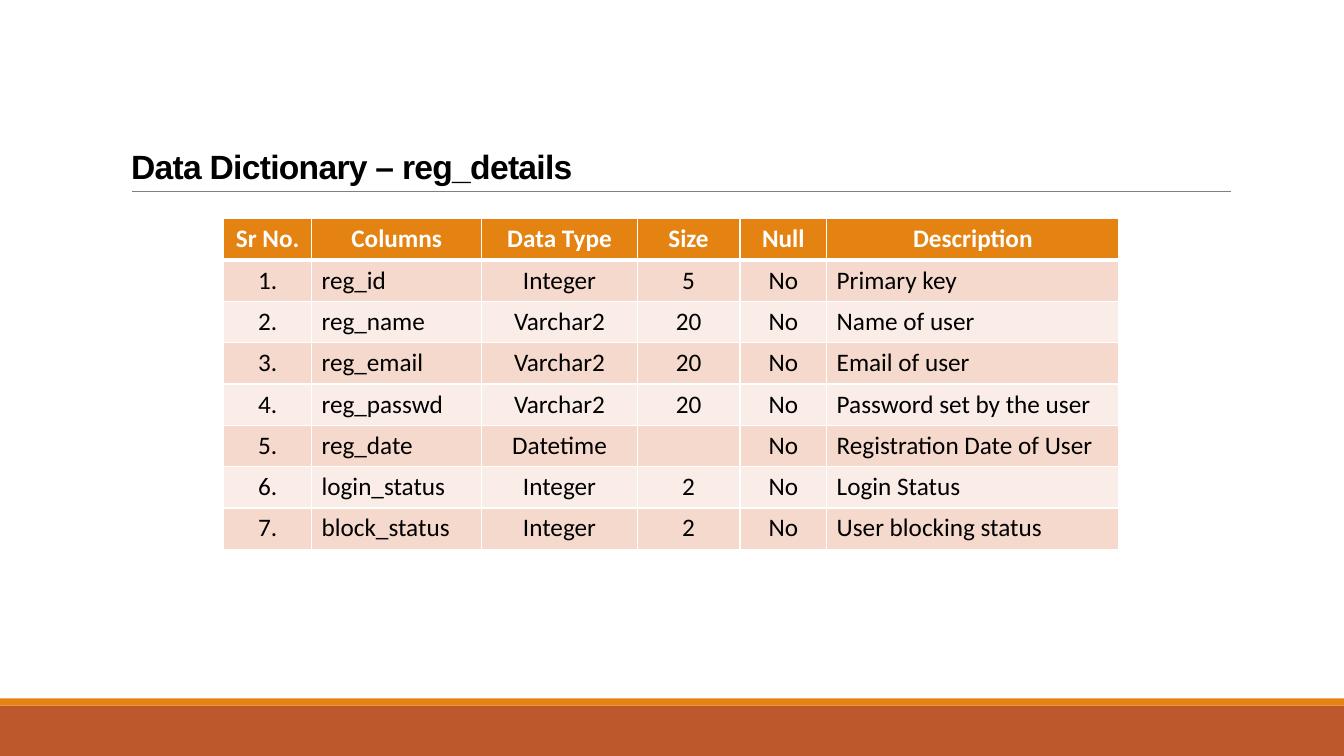
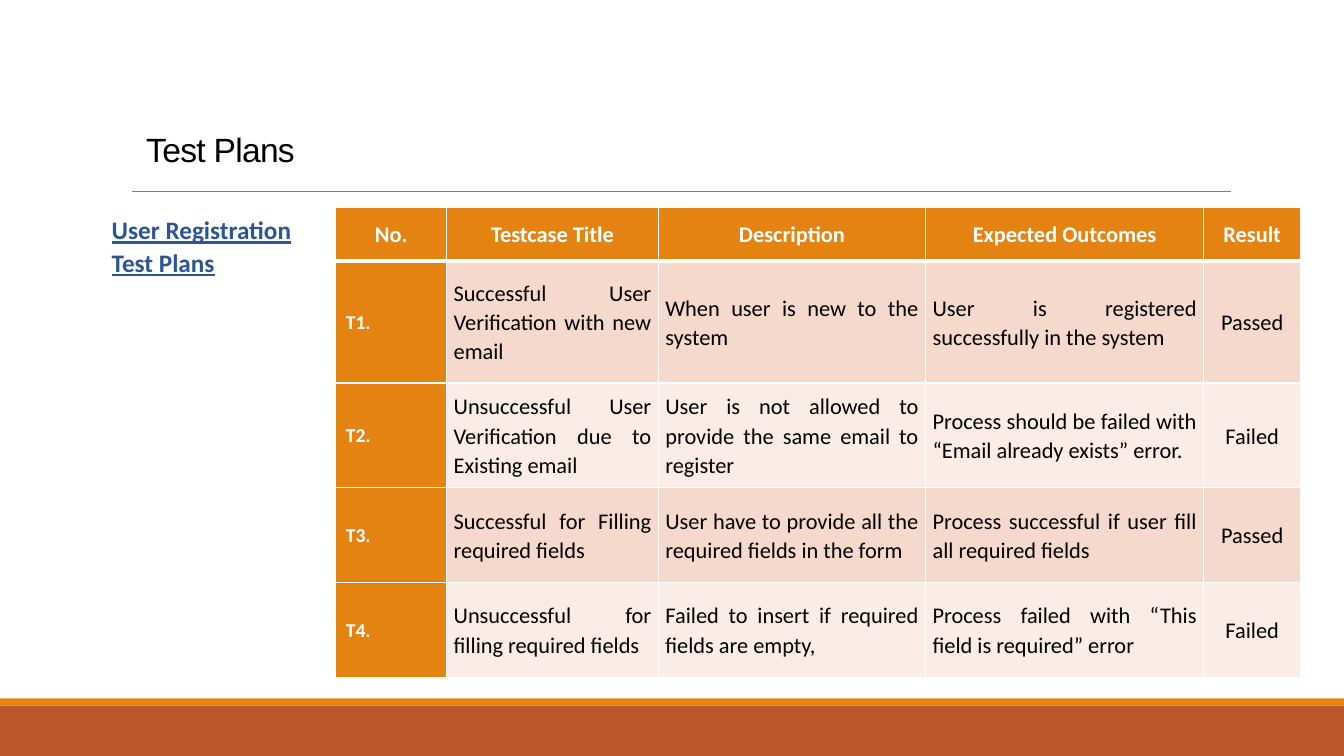
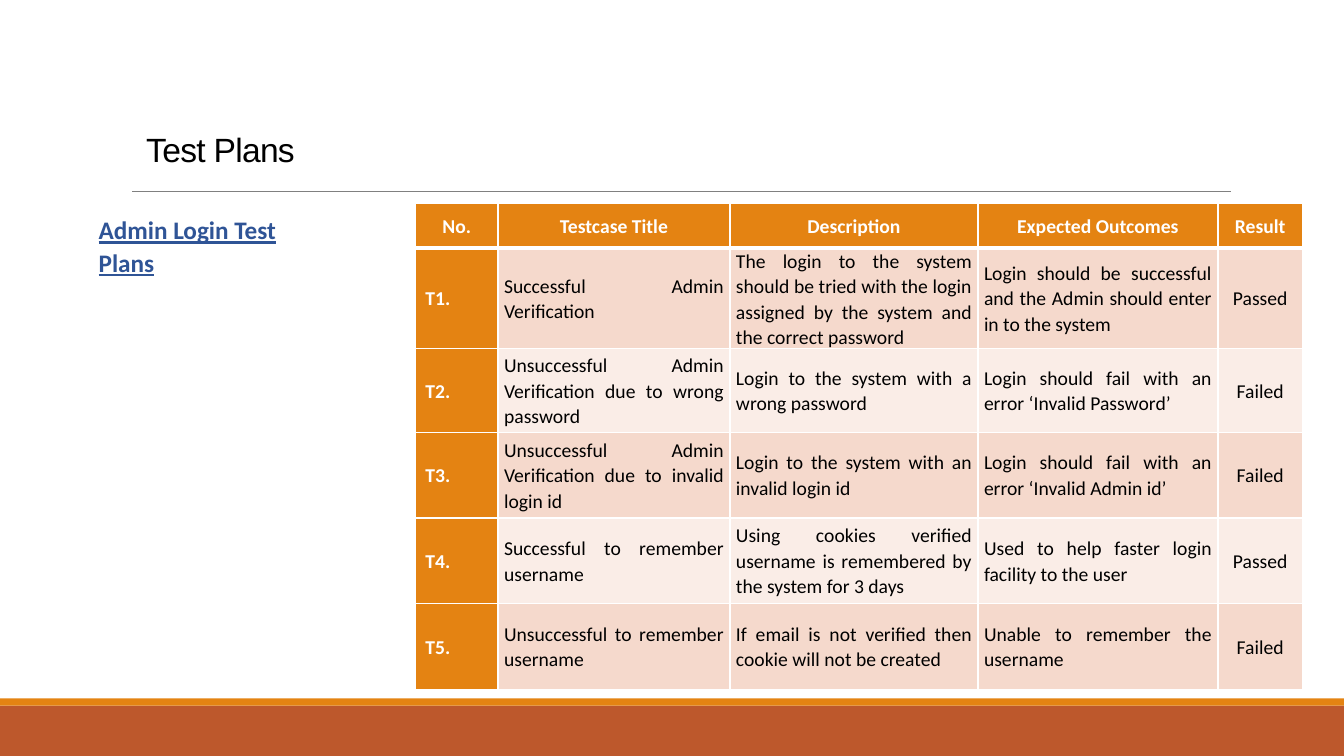
"""Build three slides: a data dictionary table and two test plan tables."""
from lxml import etree
from pptx import Presentation
from pptx.dml.color import RGBColor
from pptx.enum.shapes import MSO_CONNECTOR, MSO_SHAPE
from pptx.enum.text import MSO_ANCHOR, MSO_AUTO_SIZE, PP_ALIGN
from pptx.oxml.ns import qn
from pptx.util import Emu, Pt

PX = 9144
WIDTH, HEIGHT = 1333, 750
TITLE_FONT, BODY_FONT = "Arial", "Calibri"

WHITE = RGBColor(0xFF, 0xFF, 0xFF)
BLACK = RGBColor(0x00, 0x00, 0x00)
GREY = RGBColor(0x80, 0x80, 0x80)
ORANGE = RGBColor(0xE4, 0x83, 0x12)
RUST = RGBColor(0xBD, 0x58, 0x2C)
BLUE = RGBColor(0x2F, 0x54, 0x96)
STRIPES = (RGBColor(0xF5, 0xD9, 0xCC), RGBColor(0xFA, 0xED, 0xE7))

LEFT, CENTER, JUSTIFY = PP_ALIGN.LEFT, PP_ALIGN.CENTER, PP_ALIGN.JUSTIFY
TOP, MIDDLE, BOTTOM = MSO_ANCHOR.TOP, MSO_ANCHOR.MIDDLE, MSO_ANCHOR.BOTTOM
NO_FIT, GROW = MSO_AUTO_SIZE.NONE, MSO_AUTO_SIZE.SHAPE_TO_FIT_TEXT
RECTANGLE, STRAIGHT = MSO_SHAPE.RECTANGLE, MSO_CONNECTOR.STRAIGHT

REG_HEADS = ("Sr No.", "Columns", "Data Type", "Size", "Null", "Description")
REG_ALIGNS = (CENTER, LEFT, CENTER, CENTER, CENTER, LEFT)
REG_ROWS = (
    ("reg_id", "Integer", "5", "No", "Primary key"),
    ("reg_name", "Varchar2", "20", "No", "Name of user"),
    ("reg_email", "Varchar2", "20", "No", "Email of user"),
    ("reg_passwd", "Varchar2", "20", "No", "Password set by the user"),
    ("reg_date", "Datetime", "", "No", "Registration Date of User"),
    ("login_status", "Integer", "2", "No", "Login Status"),
    ("block_status", "Integer", "2", "No", "User blocking status"),
)
TEST_HEADS = ("No.", "Testcase Title", "Description", "Expected Outcomes", "Result")
TEST_ALIGNS = (LEFT, JUSTIFY, JUSTIFY, JUSTIFY, CENTER)
USER_TESTS = (
    ("Successful User Verification with new email",
     "When user is new to the system",
     "User is registered successfully in the system", "Passed"),
    ("Unsuccessful User Verification due to Existing email",
     "User is not allowed to provide the same email to register",
     "Process should be failed with “Email already exists” error.", "Failed"),
    ("Successful for Filling required fields",
     "User have to provide all the required fields in the form",
     "Process successful if user fill all required fields", "Passed"),
    ("Unsuccessful for filling required fields",
     "Failed to insert if required fields are empty,",
     "Process failed with “This field is required” error", "Failed"),
)
ADMIN_TESTS = (
    ("Successful Admin Verification",
     "The login to the system should be tried with the login assigned "
     "by the system and the correct password",
     "Login should be successful and the Admin should enter in to the system",
     "Passed"),
    ("Unsuccessful Admin Verification due to wrong password",
     "Login to the system with a wrong password",
     "Login should fail with an error ‘Invalid Password’", "Failed"),
    ("Unsuccessful Admin Verification due to invalid login id",
     "Login to the system with an invalid login id",
     "Login should fail with an error ‘Invalid Admin id’", "Failed"),
    ("Successful to remember username",
     "Using cookies verified username is remembered by the system for 3 days",
     "Used to help faster login facility to the user", "Passed"),
    ("Unsuccessful to remember username",
     "If email is not verified then cookie will not be created",
     "Unable to remember the username", "Failed"),
)


def px(*lengths):
    return [Emu(n * PX) for n in lengths]


class Deck:
    def __init__(self):
        self.prs = Presentation()
        self.prs.slide_width, self.prs.slide_height = px(WIDTH, HEIGHT)
        self.s = None

    def slide(self, title, box, bold=False):
        self.s = self.prs.slides.add_slide(self.prs.slide_layouts[5])
        self.band(700, 50, RUST)
        self.band(693, 7, ORANGE)
        self.rule(131, 190, 1221)
        self.title(title, box, bold)

    def band(self, y, h, color):
        sp = self.s.shapes.add_shape(RECTANGLE, *px(0, y, WIDTH, h))
        sp.shadow.inherit = False
        sp.fill.solid()
        sp.fill.fore_color.rgb = color
        sp.line.fill.background()

    def rule(self, x, y, x2):
        line = self.s.shapes.add_connector(STRAIGHT, *px(x, y, x2, y))
        line.line.color.rgb = GREY
        line.line.width = Pt(0.5)
        etree.SubElement(line._element.spPr, qn("a:effectLst"))

    def run(self, p, text, size, color, bold=False, font=BODY_FONT):
        r = p.add_run()
        r.text = text
        r.font.name, r.font.size, r.font.bold = font, Pt(size), bold
        r.font.color.rgb = color
        return r

    def title(self, text, box, bold):
        sp = self.s.shapes.title
        sp.left, sp.top, sp.width, sp.height = px(*box)
        tf = sp.text_frame
        tf.auto_size, tf.vertical_anchor = NO_FIT, BOTTOM
        p = tf.paragraphs[0]
        p.alignment, p.line_spacing = LEFT, 0.85
        r = self.run(p, text, 24, BLACK, bold, TITLE_FONT)
        r._r.get_or_add_rPr().set("spc", "-50")

    def heading(self, text, x):
        sp = self.s.shapes.add_textbox(*px(x, 206, 232, 73))
        tf = sp.text_frame
        tf.word_wrap, tf.auto_size = True, GROW
        p = tf.paragraphs[0]
        p.line_spacing, p.space_before = 1.07, Pt(12)
        self.run(p, text, 18, BLUE, True).font.underline = True

    def borders(self, cell, top, bottom):
        tcPr = cell._tc.get_or_add_tcPr()
        widths = (("L", 1), ("R", 1), ("T", top), ("B", bottom))
        for i, (side, width) in enumerate(widths):
            ln = etree.Element(qn("a:ln" + side), w=str(Pt(width)))
            fill = etree.SubElement(ln, qn("a:solidFill"))
            etree.SubElement(fill, qn("a:srgbClr"), val=str(WHITE))
            tcPr.insert(i, ln)

    def cell(self, cell, text, fill, align, size, color, bold, anchor, spacing, margins):
        cell.fill.solid()
        cell.fill.fore_color.rgb = fill
        cell.vertical_anchor = anchor
        (cell.margin_left, cell.margin_top,
         cell.margin_right, cell.margin_bottom) = px(*margins)
        p = cell.text_frame.paragraphs[0]
        p.alignment, p.line_spacing = align, spacing
        if text:
            self.run(p, text, size, color, bold)

    def table(self, x, y, cols, heights, heads, aligns, rows, size, prefix="",
              key_size=None, anchor=TOP, spacing=1, margins=(10, 5, 10, 5)):
        frame = self.s.shapes.add_table(
            len(heights), len(cols), *px(x, y, sum(cols), sum(heights)))
        table = frame.table
        for col, width in zip(table.columns, px(*cols)):
            col.width = width
        for row, height in zip(table.rows, px(*heights)):
            row.height = height
        body = [(f"{prefix}{i}.", *row) for i, row in enumerate(rows, 1)]
        for i, row in enumerate([heads, *body]):
            for j, text in enumerate(row):
                key = i > 0 and j == 0 and key_size is not None
                strong = i == 0 or key
                cell = table.cell(i, j)
                self.cell(cell, text,
                          ORANGE if strong else STRIPES[(i - 1) % 2],
                          aligns[j] if i else CENTER,
                          key_size if key else size,
                          WHITE if strong else BLACK, strong, anchor, spacing,
                          (10, 0, 6, 0) if key else margins)
                self.borders(cell, 3 if i == 1 else 1, 3 if i == 0 else 1)

    def test_plan(self, heading, heading_x, x, y, cols, heights, tests, size, inset):
        self.slide("Test Plans", (135, 112, 1100, 61))
        self.heading(heading, heading_x)
        self.table(x, y, cols, heights, TEST_HEADS, TEST_ALIGNS, tests, size, "T",
                   14, MIDDLE, 1.07, (inset, 0, inset, 0))


def main():
    deck = Deck()
    deck.slide("Data Dictionary – reg_details", (120, 31, 1100, 159), True)
    deck.table(222, 217, (87, 169, 154, 102, 86, 290), [41] * 8,
               REG_HEADS, REG_ALIGNS, REG_ROWS, 18)
    deck.test_plan("User Registration Test Plans", 101, 333, 206,
                   (110, 210, 265, 276, 96), (53, 121, 104, 94, 94),
                   USER_TESTS, 16, 7)
    deck.test_plan("Admin Login Test Plans", 88, 412, 202,
                   (82, 230, 246, 238, 84), (44, 98, 83, 85, 85, 85),
                   ADMIN_TESTS, 14, 6)
    deck.prs.save("out.pptx")


if __name__ == "__main__":
    main()
